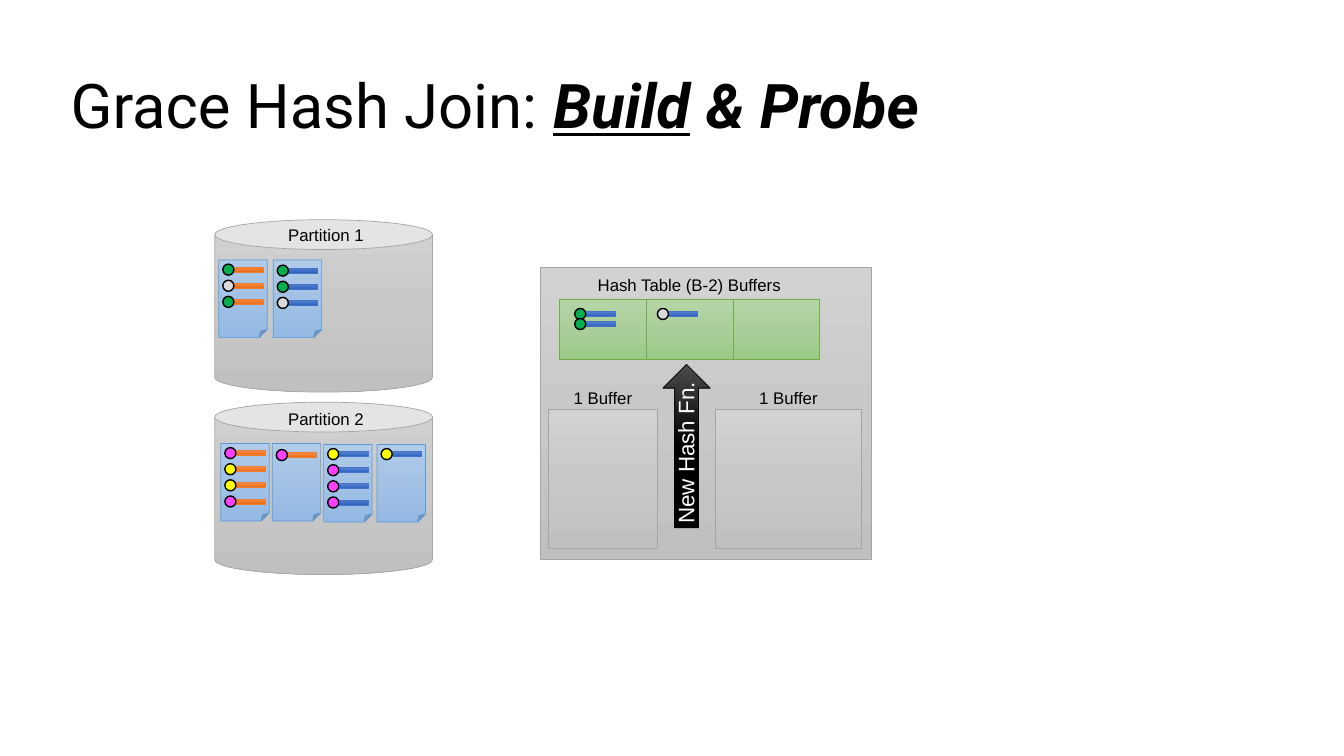
"""Build the Grace Hash Join slide showing the build phase."""
from copy import deepcopy

from pptx import Presentation
from pptx.dml.color import RGBColor
from pptx.enum.shapes import MSO_SHAPE
from pptx.enum.text import MSO_ANCHOR, MSO_AUTO_SIZE, PP_ALIGN
from pptx.oxml.ns import qn
from pptx.util import Inches, Pt

BLACK = RGBColor(0x00, 0x00, 0x00)
WHITE = RGBColor(0xFF, 0xFF, 0xFF)
GREEN = RGBColor(0x00, 0xB0, 0x50)
SILVER = RGBColor(0xD9, 0xD9, 0xD9)
PINK = RGBColor(0xFF, 0x40, 0xFF)
YELLOW = RGBColor(0xFF, 0xFF, 0x00)


def theme(line, *stops):
    return RGBColor.from_string(line), [RGBColor.from_string(c) for c in stops]


GRAY_BOX = theme("A5A5A5", "D2D2D2", "C8C8C8", "C0C0C0")
GREEN_BOX = theme("70AD47", "B5D5A7", "AACE9A", "9CC987")
BLACK_BOX = theme("000000", "4B4B4B", "000000", "000000")
PAGE = theme("5B9BD5", "B1CBE9", "A3C1E5", "93B9E4")
ORANGE_BAR = theme("ED7D31", "F18C57", "F67B28", "E56C19")
BLUE_BAR = theme("4472C4", "6183CB", "3E70CA", "3062BB")


class Deck:
    """Holds the style and the current slide."""

    def __init__(self):
        self.prs = Presentation()
        self.prs.slide_width, self.prs.slide_height = Inches(13.33), Inches(7.5)
        self.s = self.prs.slides.add_slide(self.prs.slide_layouts[5])

    def place(self, sp, box):
        for name, value in zip(("left", "top", "width", "height"), box):
            setattr(sp, name, Inches(value))

    def run(self, p, text, **formats):
        r = p.add_run()
        r.text = text
        color = formats.pop("color", BLACK)
        for name, value in formats.items():
            setattr(r.font, name, value)
        r.font.color.rgb = color

    def title(self, box, runs):
        sp = self.s.shapes.title
        self.place(sp, box)
        tf = sp.text_frame
        for name, value in {"word_wrap": True, "auto_size": MSO_AUTO_SIZE.NONE,
                            "vertical_anchor": MSO_ANCHOR.MIDDLE}.items():
            setattr(tf, name, value)
        p = tf.paragraphs[0]
        p.alignment, p.line_spacing = PP_ALIGN.LEFT, 0.9
        for text, formats in runs:
            self.run(p, text, name="Roboto", size=Pt(44), **formats)

    def label(self, box, text, size=12, color=BLACK, align=PP_ALIGN.LEFT,
              wrap=True, rotation=0):
        sp = self.s.shapes.add_textbox(*map(Inches, box))
        sp.rotation = rotation
        tf = sp.text_frame
        tf.word_wrap, tf.auto_size = wrap, MSO_AUTO_SIZE.SHAPE_TO_FIT_TEXT
        p = tf.paragraphs[0]
        p.alignment = align
        self.run(p, text, name="Arial", size=Pt(size), color=color)

    def shape(self, kind, box, line, width=0.5):
        sp = self.s.shapes.add_shape(kind, *map(Inches, box))
        sp.shadow.inherit = False
        sp.line.color.rgb, sp.line.width = line, Pt(width)
        return sp

    def gradient(self, kind, box, style):
        line, colors = style
        sp = self.shape(kind, box, line)
        sp.fill.gradient()
        sp.fill.gradient_angle = 270
        grad = sp.element.spPr.find(qn("a:gradFill"))
        grad.set("rotWithShape", "0")
        stops = grad.find(qn("a:gsLst"))
        stops.append(deepcopy(stops[-1]))
        for stop, position, color in zip(sp.fill.gradient_stops, (0, 0.5, 1), colors):
            stop.position, stop.color.rgb = position, color
        return sp

    def record(self, x, y, bar, key):
        self.gradient(MSO_SHAPE.RECTANGLE, (x + 0.06, y + 0.03, 0.34, 0.05), bar)
        sp = self.shape(MSO_SHAPE.OVAL, (x, y, 0.11, 0.11), BLACK, 1)
        sp.fill.solid()
        sp.fill.fore_color.rgb = key

    def page(self, x, y, bar, first, keys):
        self.gradient(MSO_SHAPE.FOLDED_CORNER, (x, y, 0.48, 0.77), PAGE)
        for i, key in enumerate(keys):
            self.record(x + 0.04, y + first + 0.16 * i, bar, key)

    def partition(self, y, pages):
        sp = self.gradient(MSO_SHAPE.CAN, (2.13, y, 2.16, 1.71), GRAY_BOX)
        sp.adjustments[0] = 0.173
        for page in pages:
            self.page(*page)

    def buffer(self, x, width):
        self.gradient(MSO_SHAPE.RECTANGLE, (x, 4.06, width, 1.38), GRAY_BOX)
        self.label((x, 3.8, width, 0.3), "1 Buffer", align=PP_ALIGN.CENTER)


def main():
    deck = Deck()
    strong = {"bold": True, "italic": True}
    deck.title((0.6, 0.35, 11.81, 1.45), [
        ("Grace Hash Join: ", {}),
        ("Build", {**strong, "underline": True}),
        (" & Probe", strong),
    ])

    deck.gradient(MSO_SHAPE.RECTANGLE, (5.36, 2.65, 3.28, 2.9), GRAY_BOX)
    for i in range(3):
        deck.gradient(MSO_SHAPE.RECTANGLE, (5.55 + 0.86 * i, 2.97, 0.86, 0.6), GREEN_BOX)
    deck.label((5.83, 2.68, 2.04, 0.3), "Hash Table (B-2) Buffers", wrap=False)
    deck.buffer(5.44, 1.08)
    deck.buffer(7.1, 1.44)

    arrow = deck.gradient(MSO_SHAPE.RIGHT_ARROW, (6, 4.19, 1.62, 0.47), BLACK_BOX)
    arrow.rotation = 270
    deck.label((5.96, 4.27, 1.68, 0.37), "New Hash Fn.", 16, WHITE, rotation=270)

    deck.partition(2.18, [
        (2.17, 2.58, ORANGE_BAR, 0.04, [GREEN, SILVER, GREEN]),
        (2.71, 2.58, BLUE_BAR, 0.05, [GREEN, GREEN, SILVER]),
    ])
    deck.partition(3.99, [
        (2.19, 4.4, ORANGE_BAR, 0.04, [PINK, YELLOW, YELLOW, PINK]),
        (2.7, 4.4, ORANGE_BAR, 0.06, [PINK]),
        (3.21, 4.41, BLUE_BAR, 0.04, [YELLOW, PINK, PINK, PINK]),
        (3.74, 4.41, BLUE_BAR, 0.04, [YELLOW]),
    ])
    for x, y, key in [(5.7, 3.06, GREEN), (6.52, 3.06, SILVER), (5.7, 3.16, GREEN)]:
        deck.record(x, y, BLUE_BAR, key)
    for y, text in [(2.18, "Partition 1"), (4.01, "Partition 2")]:
        deck.label((2.76, y, 0.96, 0.3), text, wrap=False)

    deck.prs.save("out.pptx")


if __name__ == "__main__":
    main()
